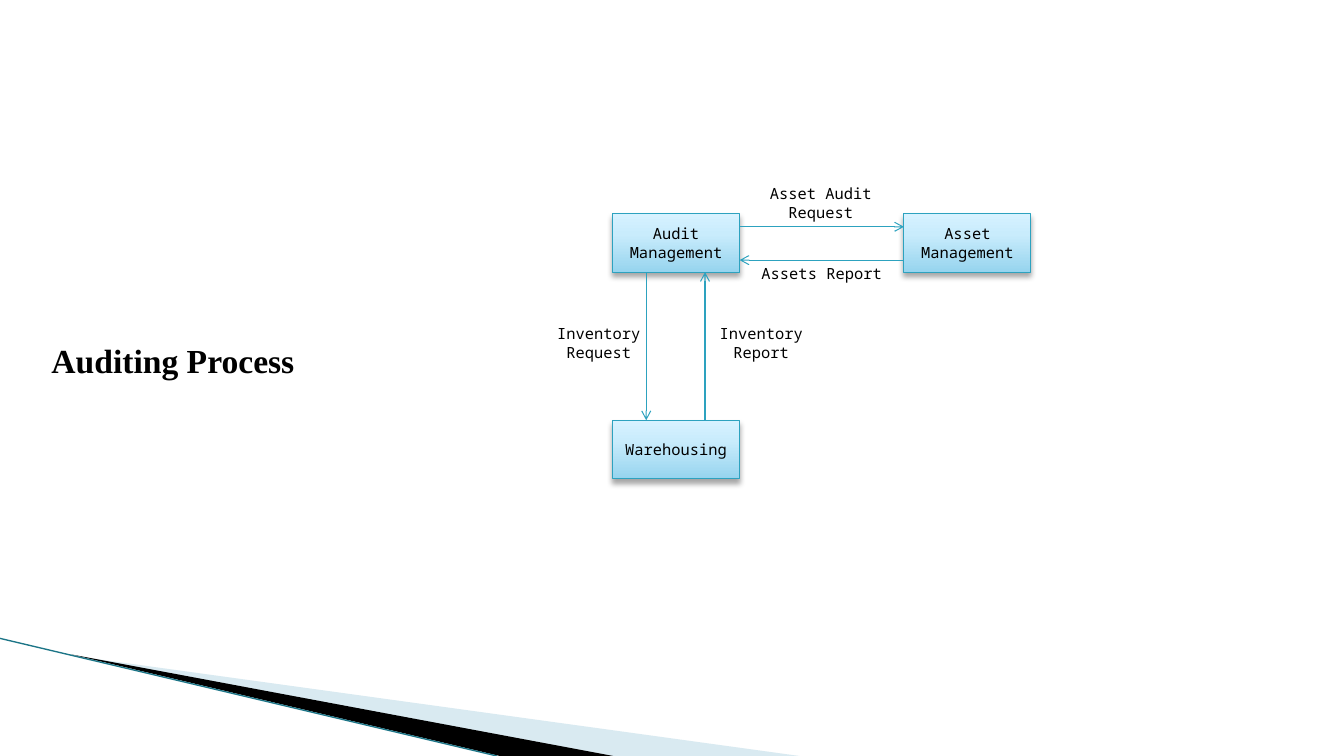
from pptx import Presentation
from pptx.dml.color import RGBColor as Rgb
from pptx.enum.shapes import MSO_CONNECTOR as Conn, MSO_SHAPE as Shape
from pptx.enum.text import MSO_ANCHOR as Anchor, MSO_AUTO_SIZE as Fit, PP_ALIGN as Align
from pptx.oxml import parse_xml
from pptx.oxml.ns import nsdecls, qn
from pptx.util import Pt
from lxml.etree import SubElement

HUES = {
    "ink": "000000",
    "line": "2DA2BF",
    "edge": "1C7587",
    "pale": "A0CBDC",
    "low": "96D4EE",
    "mid": "C9ECFC",
    "top": "D7F2FF",
}
MONO = "Noto Sans Mono"
SERIF = "Times New Roman"
NODE_W, NODE_H = 90.7, 41.8


def hue(name):
    return Rgb.from_string(HUES[name])


def write(shape, text, size=11, font=MONO, bold=False, align=Align.CENTER,
          anchor=Anchor.TOP, space=None):
    frame = shape.text_frame
    frame.word_wrap = True
    frame.auto_size = Fit.NONE
    frame.vertical_anchor = anchor
    para = frame.paragraphs[0]
    para.alignment = align
    para.line_spacing = space
    run = para.add_run()
    run.text = text
    run.font.size = Pt(size)
    run.font.name = font
    run.font.bold = bold
    run.font.color.rgb = hue("ink")


def line(slide, start, end, color="line", width=0.75, arrow=False):
    link = slide.shapes.add_connector(
        Conn.STRAIGHT, *(Pt(n) for n in (*start, *end)))
    link.line.color.rgb = hue(color)
    link.line.width = Pt(width)
    props = link._element.spPr
    if arrow:
        SubElement(props.find(qn("a:ln")), qn("a:tailEnd"), type="arrow")
    SubElement(props, qn("a:effectLst"))


def wedge(slide, points, color, alpha=None):
    first, *rest = [(Pt(x), Pt(y)) for x, y in points]
    pen = slide.shapes.build_freeform(*first)
    pen.add_line_segments(rest, close=True)
    shape = pen.convert_to_shape()
    shape.shadow.inherit = False
    shape.fill.solid()
    shape.fill.fore_color.rgb = hue(color)
    shape.line.fill.background()
    if alpha:
        tint = shape._element.spPr.find(qn("a:solidFill"))[0]
        SubElement(tint, qn("a:alpha"), val=str(alpha * 1000))


def corner(slide, x, y, w, h):
    base = y + h
    wedge(slide, [(x + 52.5, y + 12.5), (x + 571, base), (x + 438, base)], "pale", 40)
    wedge(slide, [(x + 51, y + 11.5), (x + 438, base), (x + 357, base)], "ink")
    line(slide, (x, y), (x + w, base), "edge", 0.95)


def heading(slide, x, y, w, h):
    title = slide.shapes.title
    title.left, title.top, title.width, title.height = map(Pt, (x, y, w, h))
    write(title, "Auditing Process", size=24, font=SERIF, bold=True,
          align=Align.LEFT, space=2)


def node(slide, text, x, y):
    box = slide.shapes.add_shape(
        Shape.RECTANGLE, Pt(x), Pt(y), Pt(NODE_W), Pt(NODE_H))
    box.line.color.rgb = hue("line")
    box.line.width = Pt(0.75)
    box.shadow.inherit = False
    props = box._element.spPr
    stops = "".join(
        f'<a:gs pos="{pos * 1000}"><a:srgbClr val="{HUES[name]}"/></a:gs>'
        for pos, name in ((0, "low"), (65, "mid"), (100, "top")))
    props.insert(2, parse_xml(
        f'<a:gradFill {nsdecls("a")} rotWithShape="1"><a:gsLst>{stops}</a:gsLst>'
        '<a:lin ang="16200000" scaled="0"/></a:gradFill>'))
    props.find(qn("a:effectLst")).append(parse_xml(
        f'<a:outerShdw {nsdecls("a")} blurRad="{Pt(4)}" dist="{Pt(3)}" dir="5400000" '
        f'rotWithShape="0"><a:srgbClr val="{HUES["ink"]}"><a:alpha val="35000"/>'
        '</a:srgbClr></a:outerShdw>'))
    write(box, text, anchor=Anchor.MIDDLE)


def label(slide, text, x, y, w, h):
    box = slide.shapes.add_textbox(Pt(x), Pt(y), Pt(w), Pt(h))
    write(box, text)


def chart(slide, x, y, w, h):
    left, right = x, x + w - NODE_W
    top, low = y, y + h - NODE_H
    side, foot = left + NODE_W, top + NODE_H
    node(slide, "Audit Management", left, top)
    node(slide, "Warehousing", left, low)
    node(slide, "Asset Management", right, top)

    down, up = left + 24, left + 66
    out, back = top + 9.4, top + 33.2
    for start, end in (
        ((down, foot), (down, low)),
        ((up, low), (up, foot)),
        ((side, out), (right, out)),
        ((right, back), (side, back)),
    ):
        line(slide, start, end, arrow=True)

    for text, dx, dy, wide, high in (
        ("Inventory Request", -48.3, 75.6, 77, 34),
        ("Inventory Report", 67.7, 75.6, 77, 34),
        ("Asset Audit Request", NODE_W, -24.5, 116, 34),
        ("Assets Report", NODE_W + 0.7, 32.4, 116, 21),
    ):
        label(slide, text, left + dx, top + dy, wide, high)


def main():
    deck = Presentation()
    deck.slide_width, deck.slide_height = Pt(960), Pt(540)
    slide = deck.slides.add_slide(deck.slide_layouts[5])
    corner(slide, 0, 456, 355, 84)
    heading(slide, 29.5, 210.2, 246, 57)
    chart(slide, 437.6, 152.6, 298.8, 189.4)
    deck.save("out.pptx")


if __name__ == "__main__":
    main()
